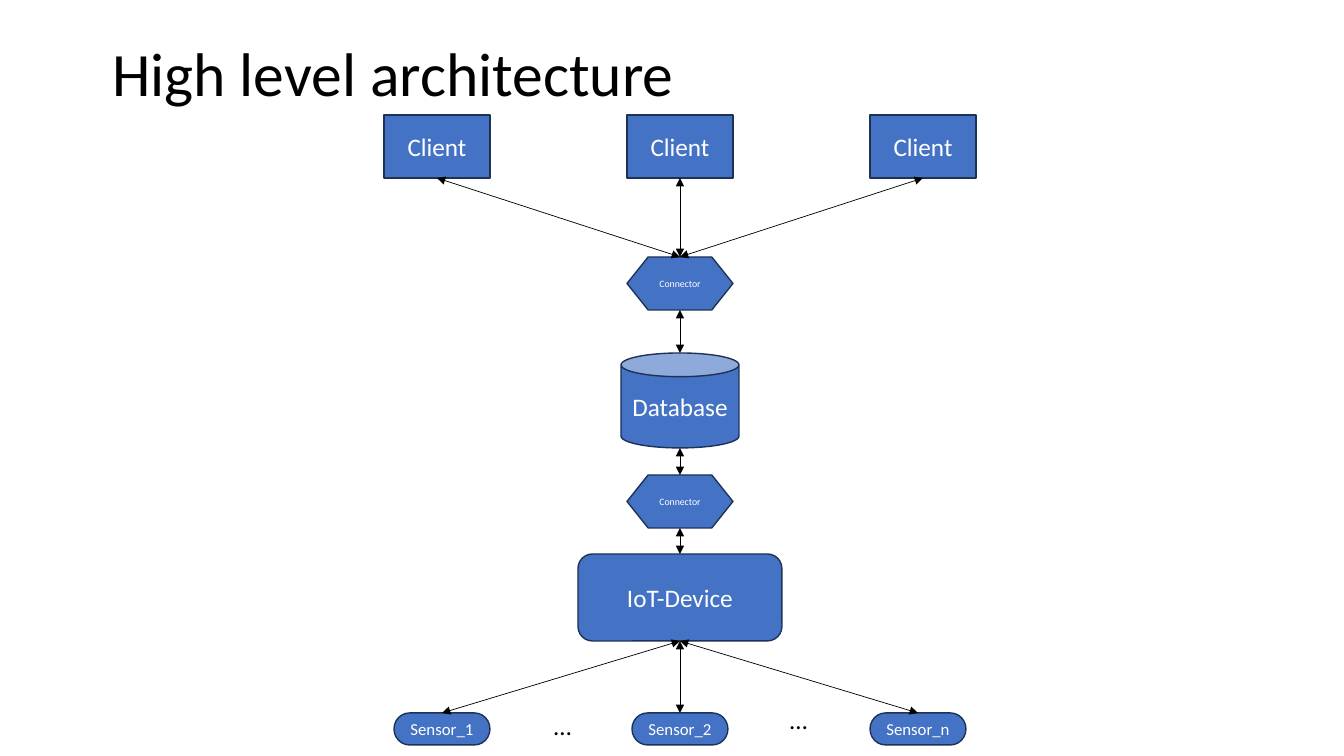
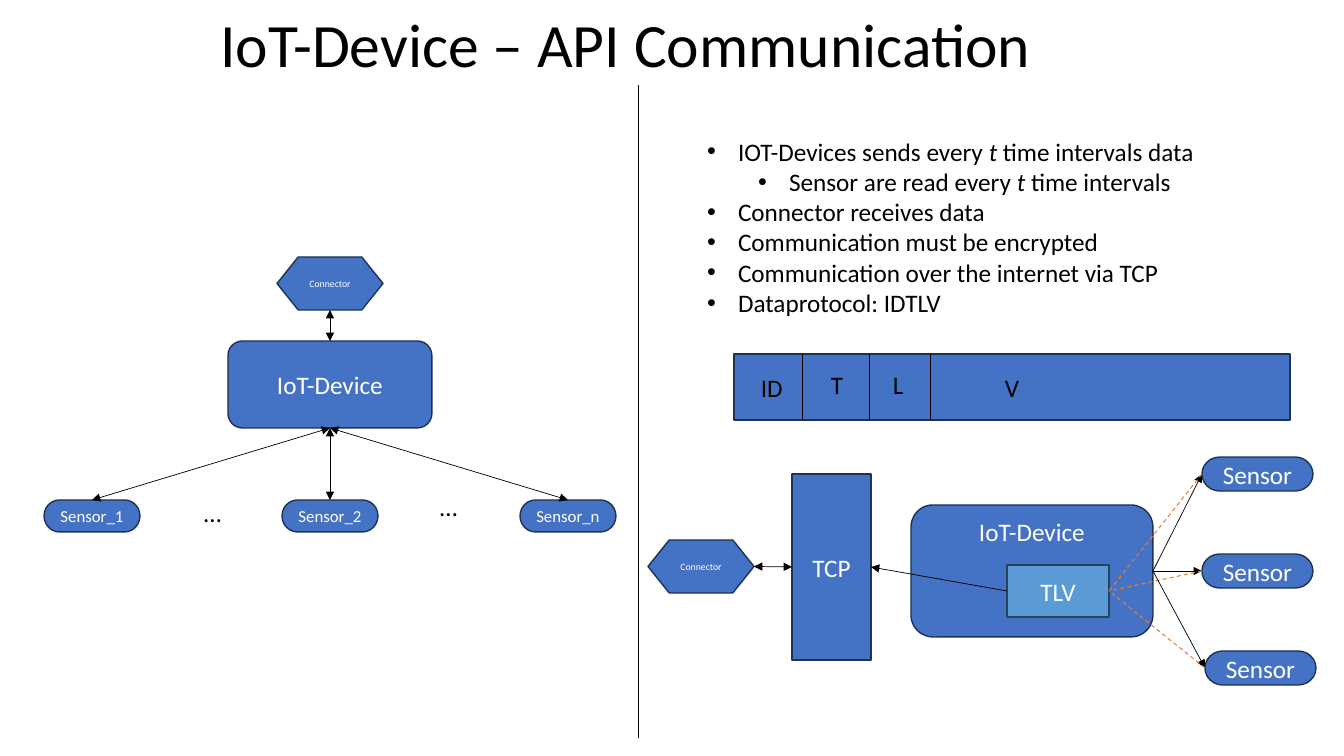
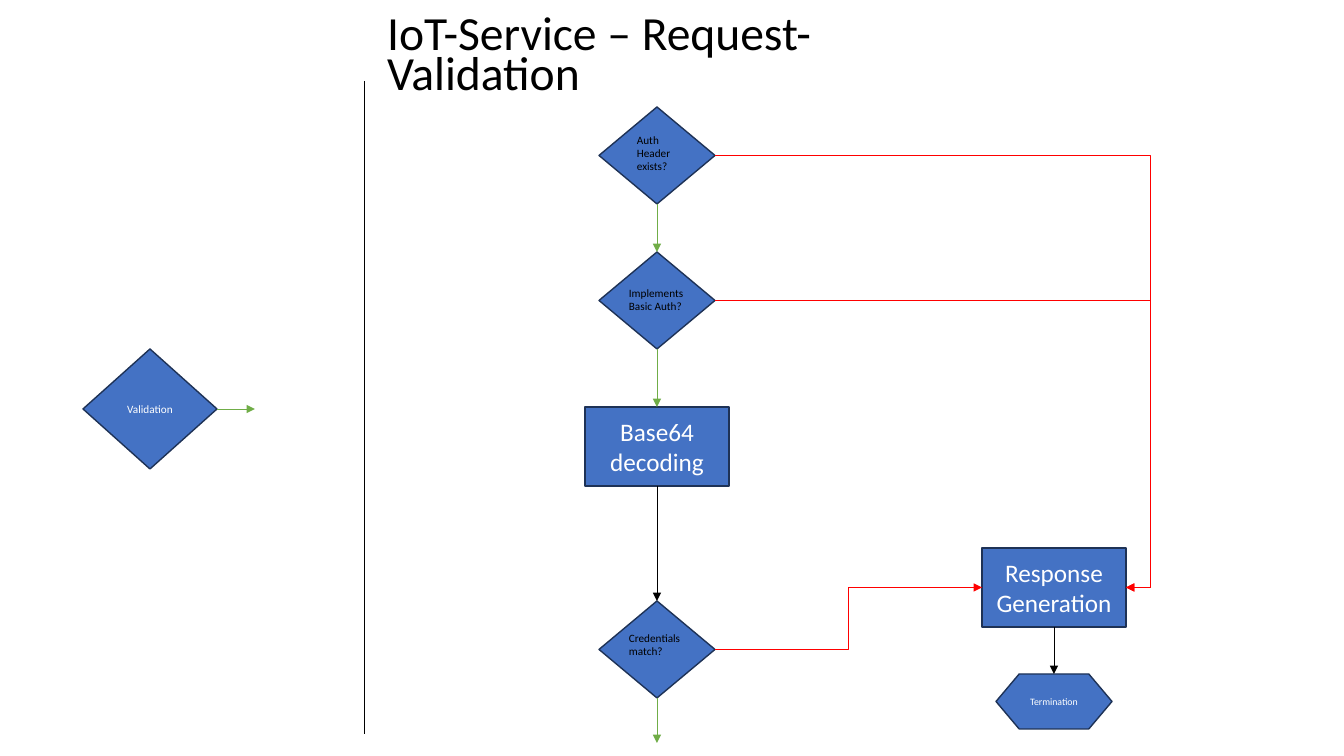
import lxml.etree
import pptx
import pptx.dml.color
import pptx.enum.dml
import pptx.enum.shapes
import pptx.enum.text
import pptx.oxml.ns
import pptx.util

PX = 12192000 / 1344  # EMU per pixel
FONT = "Calibri"
BLUE, NAVY, SKY, SLATE = "4472C4", "1E3256", "5B9BD5", "28445D"
BLACK, WHITE, RED, GREEN, ORANGE = "000000", "FFFFFF", "FF0000", "70AD47", "ED7D31"
TOP, LEFT, BOTTOM, RIGHT = range(4)

rgb = pptx.dml.color.RGBColor.from_string
qn = pptx.oxml.ns.qn
Pt = pptx.util.Pt
SHAPE = pptx.enum.shapes.MSO_SHAPE
CONNECTOR = pptx.enum.shapes.MSO_CONNECTOR
ALIGN = pptx.enum.text.PP_ALIGN
ANCHOR = pptx.enum.text.MSO_ANCHOR
NO_AUTOFIT = pptx.enum.text.MSO_AUTO_SIZE.NONE


def add_node(slide, geometry, text, box, size=18, ink=WHITE, fill=BLUE, outline=NAVY):
    """Add a filled shape with centred text, or a plain label if geometry is None."""
    bounds = [round(length * PX) for length in box]
    if geometry is None:
        node = slide.shapes.add_textbox(*bounds)
    else:
        node = slide.shapes.add_shape(geometry, *bounds)
        node.shadow.inherit = False
        node.fill.solid()
        node.fill.fore_color.rgb = rgb(fill)
        node.line.color.rgb = rgb(outline)
        node.line.width = Pt(1)
        node.text_frame.vertical_anchor = ANCHOR.MIDDLE
        node.text_frame.margin_left = node.text_frame.margin_right = round(5 * PX)
    node.text_frame.word_wrap = True
    if text:
        paragraph = node.text_frame.paragraphs[0]
        paragraph.text = text
        paragraph.alignment = ALIGN.CENTER if geometry else ALIGN.LEFT
        paragraph.font.name = FONT
        paragraph.font.size = Pt(size)
        paragraph.font.color.rgb = rgb(ink)
    return node


def add_link(slide, start, end, color=BLACK, arrows="end", bend=None, dashed=False):
    """Join two ends, each an (x, y) point or a (node, side) pair.

    bend is the place of an elbow's middle leg, in percent of the width.
    """
    kind = CONNECTOR.STRAIGHT if bend is None else CONNECTOR.ELBOW
    link = slide.shapes.add_connector(kind, 0, 0, 0, 0)
    if isinstance(start[0], int):
        link.begin_x, link.begin_y = (round(length * PX) for length in start)
    else:
        link.begin_connect(*start)
    if isinstance(end[0], int):
        link.end_x, link.end_y = (round(length * PX) for length in end)
    else:
        link.end_connect(*end)
    link.line.color.rgb = rgb(color)
    link.line.width = Pt(0.75 if dashed else 0.5)
    if dashed:
        link.line.dash_style = pptx.enum.dml.MSO_LINE.DASH
    properties = link.element.spPr
    tips = {"none": [], "end": ["a:tailEnd"], "both": ["a:headEnd", "a:tailEnd"]}
    for tip in tips[arrows]:
        lxml.etree.SubElement(properties.find(qn("a:ln")), qn(tip), type="triangle")
    lxml.etree.SubElement(properties, qn("a:effectLst"))
    if bend is not None:
        adjustments = properties.find(qn("a:prstGeom")).find(qn("a:avLst"))
        lxml.etree.SubElement(adjustments, qn("a:gd"), name="adj1", fmla=f"val {bend * 1000}")


deck = pptx.Presentation()
deck.slide_width, deck.slide_height = round(1344 * PX), round(756 * PX)

# Slides and titles: layout number, text, box, size, line spacing
slides = []
for layout, heading, box, size, spacing in [
    (5, "High level architecture", (102, 4, 1159, 146), 44, 0.9),
    (1, "IoT-Device – API Communication", (210, 0, 1124, 96), 44, 0.9),
    (5, "IoT-Service – Request-Validation", (377, 10, 620, 97), 34, 0.7),
]:
    slide = deck.slides.add_slide(deck.slide_layouts[layout])
    title = slide.shapes.title
    title.left, title.top, title.width, title.height = (round(n * PX) for n in box)
    title.text_frame.text = heading
    title.text_frame.auto_size = NO_AUTOFIT
    title.text_frame.vertical_anchor = ANCHOR.MIDDLE
    paragraph = title.text_frame.paragraphs[0]
    paragraph.alignment = ALIGN.LEFT
    paragraph.line_spacing = spacing
    paragraph.font.name = FONT
    paragraph.font.size = Pt(size)
    paragraph.font.color.rgb = rgb(BLACK)
    slides.append(slide)
architecture, communication, validation = slides

for slide, x, top in [(communication, 638, 85), (validation, 364, 81)]:
    add_link(slide, (x, top), (x, top + 653), arrows="none")

# IoT device with its connector above and its sensors below
connectors = []
for slide, axis, device_top, connector_top in [
    (architecture, 680, 554, 475),
    (communication, 330, 341, 257),
]:
    device = add_node(slide, SHAPE.ROUNDED_RECTANGLE, "IoT-Device", (axis - 102, device_top, 204, 87))
    connector = add_node(slide, SHAPE.FLOWCHART_PREPARATION, "Connector",
                         (axis - 53, connector_top, 106, 53), size=7)
    add_link(slide, (device, TOP), (connector, BOTTOM), arrows="both")
    connectors.append(connector)
    for column, name in enumerate(["Sensor_1", "Sensor_2", "Sensor_n"]):
        sensor = add_node(slide, SHAPE.FLOWCHART_TERMINATOR, name,
                          (axis - 286 + 238 * column, device_top + 159, 96, 32), size=12)
        add_link(slide, (sensor, TOP), (device, BOTTOM), arrows="both")
    for dx, dy in [(-136, 151), (100, 145)]:
        add_node(slide, None, "…", (axis + dx, device_top + dy, 40, 40), ink=BLACK)

# High level architecture: clients and database
client_connector = add_node(architecture, SHAPE.FLOWCHART_PREPARATION, "Connector",
                            (627, 257, 106, 53), size=7)
for column in range(3):
    client = add_node(architecture, SHAPE.RECTANGLE, "Client", (384 + 243 * column, 115, 106, 63))
    add_link(architecture, (client, BOTTOM), (client_connector, TOP), arrows="both")
add_node(architecture, SHAPE.CAN, "Database", (621, 353, 118, 95))
add_link(architecture, (client_connector, BOTTOM), (680, 353), arrows="both")
add_link(architecture, (connectors[0], TOP), (680, 448), arrows="both")

# API communication: rules, with variables between asterisks
rules = communication.placeholders[1]
rules.left, rules.top, rules.width, rules.height = (round(n * PX) for n in (697, 131, 588, 193))
rules.text_frame.auto_size = NO_AUTOFIT
for number, (level, rule) in enumerate([
    (0, "IOT-Devices sends every *t* time intervals data"),
    (1, "Sensor are read every *t* time intervals"),
    (0, "Connector receives data"),
    (0, "Communication must be encrypted"),
    (0, "Communication over the internet via TCP"),
    (0, "Dataprotocol: IDTLV"),
]):
    paragraph = rules.text_frame.paragraphs[0] if number == 0 else rules.text_frame.add_paragraph()
    paragraph.level = level
    paragraph.space_before = Pt(0)
    layout = paragraph._p.get_or_add_pPr()
    layout.set("marL", str(round((31 + 51 * level) * PX)))
    layout.set("indent", str(round(-31 * PX)))
    lxml.etree.SubElement(layout, qn("a:buFont"), typeface="Arial")
    lxml.etree.SubElement(layout, qn("a:buChar"), char="•")
    paragraph.font.name = FONT
    paragraph.font.size = Pt(18)
    paragraph.font.color.rgb = rgb(BLACK)
    for part, words in enumerate(rule.split("*")):
        run = paragraph.add_run()
        run.text = words
        if part % 2:
            run.font.italic = True

# API communication: data packet
add_node(communication, SHAPE.RECTANGLE, "V", (734, 354, 556, 66), ink=BLACK)
for x in (802, 869, 930):
    add_link(communication, (x, 354), (x, 420), arrows="none")
for field, x, y in [("ID", 751, 367), ("T", 821, 364), ("L", 883, 364)]:
    add_node(communication, None, field, (x, y, 48, 40), ink=BLACK)

# API communication: path from sensors to connector
device = add_node(communication, SHAPE.ROUNDED_RECTANGLE, "IoT-Device", (911, 505, 242, 132))
device.text_frame.margin_top = 0
device.text_frame.margin_bottom = round(79 * PX)
tlv = add_node(communication, SHAPE.RECTANGLE, "TLV", (1007, 565, 102, 52), fill=SKY, outline=SLATE)
tcp = add_node(communication, SHAPE.RECTANGLE, "TCP", (792, 474, 79, 186))
connector = add_node(communication, SHAPE.FLOWCHART_PREPARATION, "Connector", (648, 540, 106, 53), size=7)
for row, x in enumerate([1202, 1202, 1205]):
    sensor = add_node(communication, SHAPE.FLOWCHART_TERMINATOR, "Sensor", (x, 457 + 97 * row, 111, 34))
    add_link(communication, (device, RIGHT), (sensor, LEFT))
    add_link(communication, (sensor, LEFT), (tlv, RIGHT), ORANGE, arrows="none", dashed=True)
add_link(communication, (tlv, LEFT), (tcp, RIGHT))
add_link(communication, (tcp, LEFT), (connector, RIGHT), arrows="both")

# Request validation: overview step
overview = add_node(validation, SHAPE.DIAMOND, "Validation", (83, 349, 134, 120), size=8)
add_link(validation, (overview, RIGHT), (255, 409), GREEN)

# Request validation: checks
decoding = add_node(validation, SHAPE.RECTANGLE, "Base64 decoding", (585, 407, 144, 79))
response = add_node(validation, SHAPE.RECTANGLE, "Response Generation", (982, 548, 144, 79))
termination = add_node(validation, SHAPE.FLOWCHART_PREPARATION, "Termination", (996, 674, 116, 55), size=7)
checks = []
for question, top, label_box, side, bend in [
    ("Auth Header exists?", 107, (627, 128, 60, 50), RIGHT, 106),
    ("Implements Basic Auth?", 252, (619, 281, 80, 37), RIGHT, 106),
    ("Credentials match?", 601, (619, 626, 80, 37), LEFT, 50),
]:
    check = add_node(validation, SHAPE.DIAMOND, "", (599, top, 116, 97))
    add_node(validation, None, question, label_box, size=8, ink=BLACK)
    add_link(validation, (check, RIGHT), (response, side), RED, bend=bend)
    checks.append(check)
header, scheme, credentials = checks
add_link(validation, (header, BOTTOM), (scheme, TOP), GREEN)
add_link(validation, (scheme, BOTTOM), (decoding, TOP), GREEN)
add_link(validation, (decoding, BOTTOM), (credentials, TOP))
add_link(validation, (credentials, BOTTOM), (657, 743), GREEN)
add_link(validation, (response, BOTTOM), (termination, TOP))

deck.save("out.pptx")
